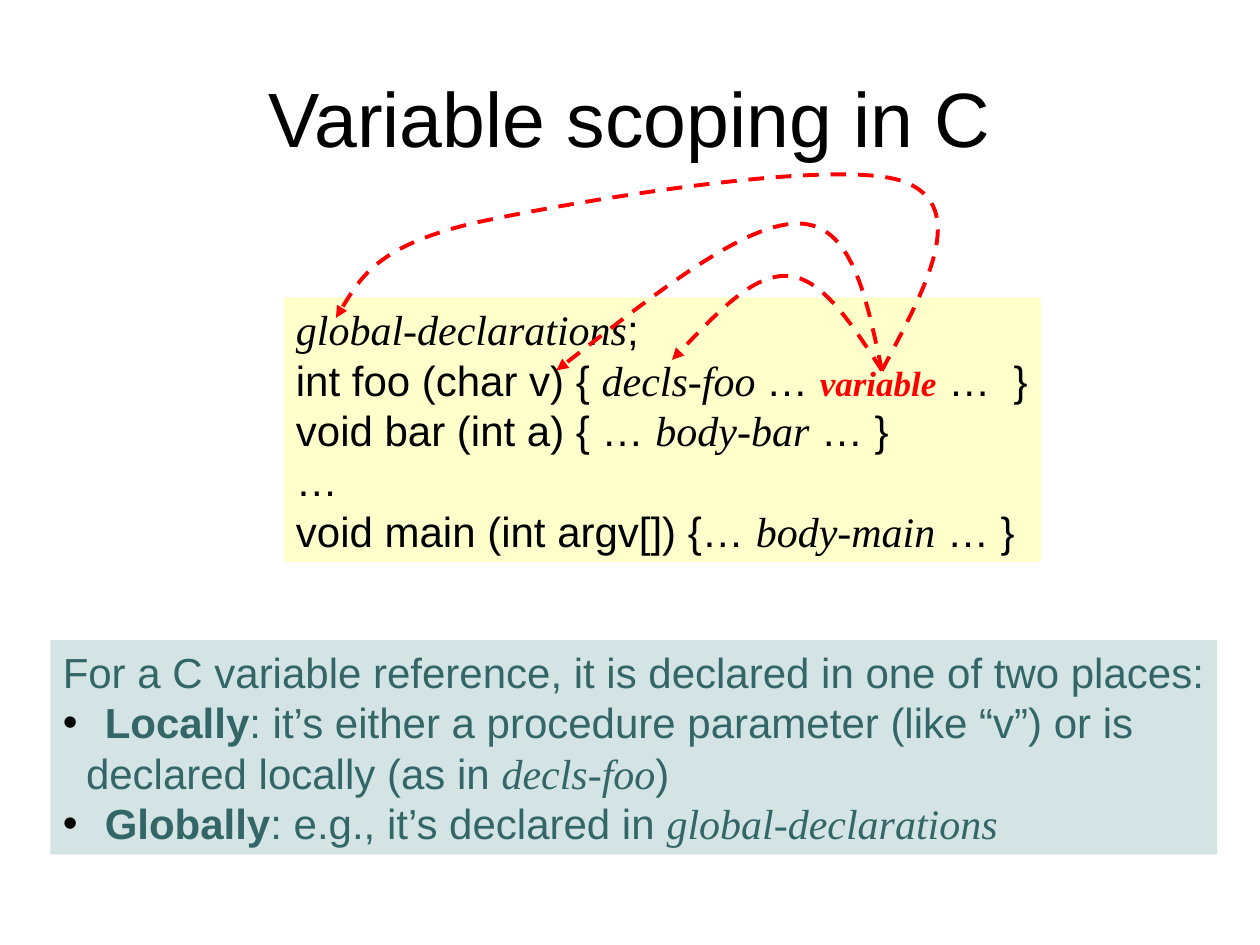
from lxml import etree
from pptx import Presentation
from pptx.dml.color import RGBColor
from pptx.enum.dml import MSO_LINE
from pptx.enum.text import MSO_ANCHOR, PP_ALIGN
from pptx.oxml.ns import qn
from pptx.util import Pt

COLORS = {"ink": "000000", "red": "FF0000", "code": "FFFFCC",
          "note": "D4E4E4", "teal": "336666"}
SANS, SERIF = "Arial", "Times New Roman"


def rgb(name):
    return RGBColor.from_string(COLORS[name])


def add_run(p, text, color="ink", size=24, style=""):
    """Style holds i for serif italic and b for bold."""
    r = p.add_run()
    r.text = text
    f = r.font
    f.size, f.color.rgb = Pt(size), rgb(color)
    f.italic, f.bold = "i" in style, "b" in style
    f.name = SERIF if "i" in style else SANS


def add_box(slide, box, fill=None, anchor=MSO_ANCHOR.TOP, wrap=False):
    s = slide.shapes.add_textbox(*[Pt(v) for v in box])
    if fill:
        s.fill.solid()
        s.fill.fore_color.rgb = rgb(fill)
    tf = s.text_frame
    tf.word_wrap, tf.vertical_anchor = wrap, anchor
    return tf


def add_lines(tf, lines, color):
    for i, runs in enumerate(lines):
        p = tf.paragraphs[0] if i == 0 else tf.add_paragraph()
        for text, *look in runs:
            add_run(p, text, **{"color": color, **(look[0] if look else {})})


def set_indent(p, left, bullet=False):
    pPr = p._p.get_or_add_pPr()
    pPr.set("marL", str(Pt(left)))
    pPr.set("indent", str(Pt(-left if bullet else 0)))
    if bullet:
        clr = etree.SubElement(pPr, qn("a:buClr"))
        etree.SubElement(clr, qn("a:srgbClr"), val=COLORS["ink"])
        etree.SubElement(pPr, qn("a:buFont"), typeface=SANS)
        etree.SubElement(pPr, qn("a:buChar"), char="•")


def add_title(slide, box):
    tf = add_box(slide, box, anchor=MSO_ANCHOR.MIDDLE, wrap=True)
    p = tf.paragraphs[0]
    p.alignment = PP_ALIGN.CENTER
    add_run(p, "Variable scoping in C", size=44)


def add_code(slide, box):
    it = {"style": "i"}
    ref = {"color": "red", "size": 20, "style": "bi"}
    add_lines(add_box(slide, box, "code"), [
        [("global-declarations", it), (";",)],
        [("int foo (char v) { ",), ("decls-foo ", it), ("… ",),
         ("variable", ref), (" …  }",)],
        [("void bar (int a) { … ",), ("body-bar", it), (" … }",)],
        [("…",)],
        [("void main (int argv[]) {… ",), ("body-main", it), (" … }",)],
    ], "ink")


def add_note(slide, box):
    it, bold = {"style": "i"}, {"style": "b"}
    tf = add_box(slide, box, "note")
    add_lines(tf, [
        [("For a C variable reference, it is declared in one of two places:",)],
        [("Locally", bold),
         (": it’s either a procedure parameter (like “v”) or is",)],
        [("declared locally (as in ",), ("decls-foo", it), (")",)],
        [("Globally", bold), (": e.g., it’s declared in ",),
         ("global-declarations", it)],
    ], "teal")
    _, local, more, global_ = tf.paragraphs
    set_indent(local, 24, bullet=True)
    set_indent(more, 13.3)
    set_indent(global_, 24, bullet=True)


def add_curve(slide, start, points):
    """Dashed Bezier arrow; points come in threes: two controls and an end."""
    fb = slide.shapes.build_freeform(*[Pt(v) for v in start])
    fb.add_line_segments([(Pt(x), Pt(y)) for x, y in points], close=False)
    s = fb.convert_to_shape()
    s.shadow.inherit = False
    s.fill.background()
    s.line.color.rgb = rgb("red")
    s.line.width, s.line.dash_style = Pt(2.25), MSO_LINE.DASH
    etree.SubElement(s.line._get_or_add_ln(), qn("a:tailEnd"), type="triangle")
    # Turn each three straight segments into one cubic curve
    segments = list(s._element.iter(qn("a:lnTo")))
    track = segments[0].getparent()
    for i in range(0, len(segments), 3):
        bezier = etree.SubElement(track, qn("a:cubicBezTo"))
        for seg in segments[i:i + 3]:
            bezier.append(seg[0])
            track.remove(seg)


def add_arrows(slide, x, y):
    """Arrows from the variable at (x, y) to its possible declarations."""
    curves = [
        # to the local declarations
        [(-17, -26), (-34, -53), (-54, -54), (-74, -55), (-97, -30), (-120, -6)],
        # to the parameter
        [(-9, -42), (-17, -84), (-48, -84), (-79, -84), (-132, -42), (-186, 0)],
        # to the global declarations
        [(25, -47), (51, -94), (12, -108), (-27, -122), (-180, -96),
         (-234, -84), (-288, -71), (-300, -50), (-312, -30)],
    ]
    for curve in curves:
        add_curve(slide, (x, y), [(x + dx, y + dy) for dx, dy in curve])


def main():
    prs = Presentation()
    prs.slide_width, prs.slide_height = Pt(720), Pt(540)
    slide = prs.slides.add_slide(prs.slide_layouts[6])
    add_title(slide, (36, 21.6, 648, 90))
    add_code(slide, (162, 170, 432.7, 151.2))
    add_note(slide, (28.8, 365.8, 666.7, 122.4))
    add_arrows(slide, 504, 211.7)
    prs.save("out.pptx")


if __name__ == "__main__":
    main()
